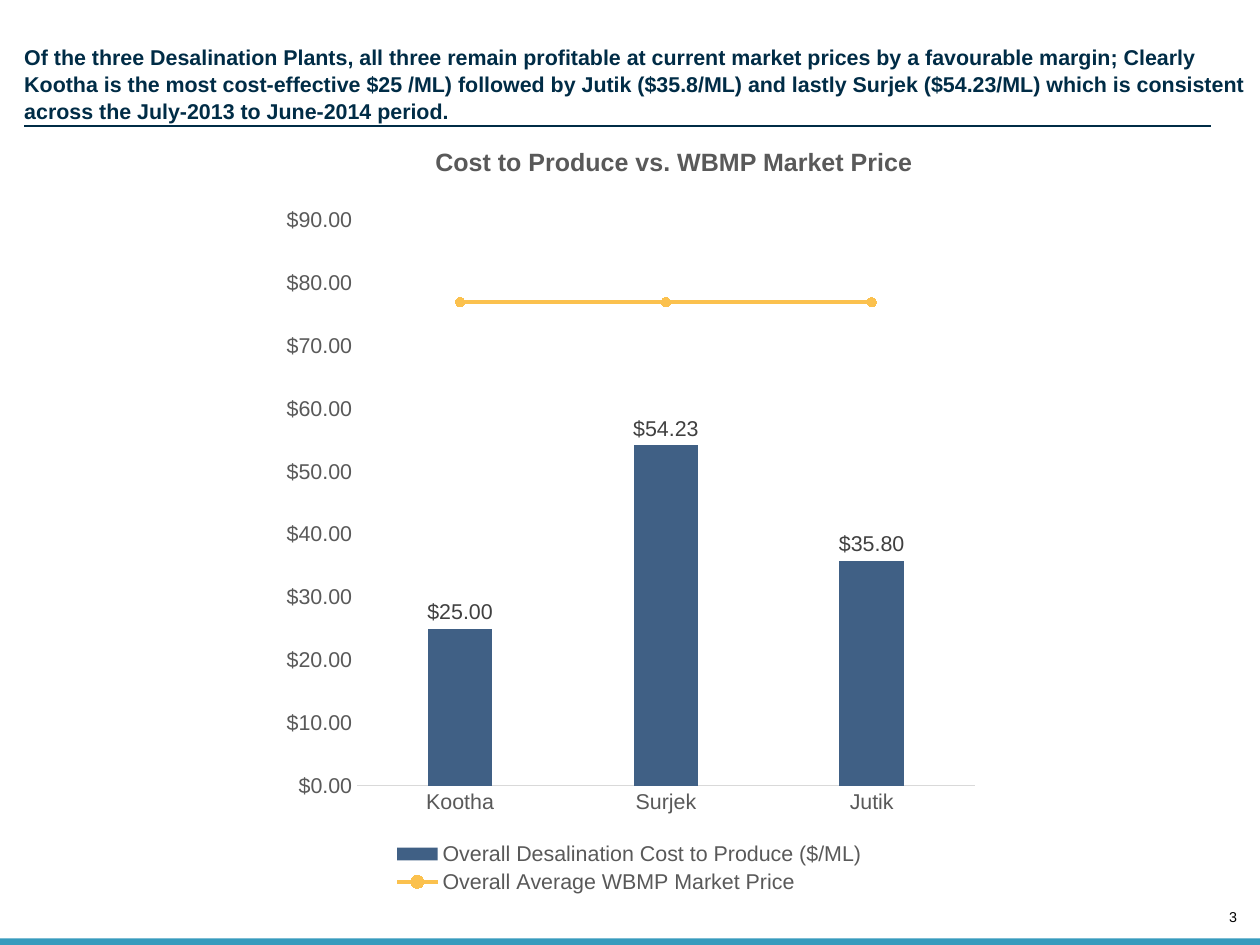
from pptx import Presentation
from pptx import util as u
from pptx.chart.data import CategoryChartData
from pptx.dml.color import RGBColor
from pptx.enum import chart as ch, shapes, text
from pptx.oxml import parse_xml
from pptx.oxml.ns import nsdecls

NAVY = RGBColor(0x00, 0x2C, 0x46)
BLUE = RGBColor(0x40, 0x60, 0x85)
TEAL = RGBColor(0x37, 0x9B, 0xBD)
AMBER = RGBColor(0xFB, 0xC1, 0x4E)
BLACK = RGBColor(0x00, 0x00, 0x00)
DARK_GREY = RGBColor(0x40, 0x40, 0x40)
GREY = RGBColor(0x59, 0x59, 0x59)
PALE_GREY = RGBColor(0xD9, 0xD9, 0xD9)
DOLLARS = '"$"#,##0.00;[Red]\\-"$"#,##0.00'


class SlideBuilder:
    """Holds the style and the current slide; lengths are in centimetres."""

    font_name = "Arial"

    def __init__(self, slide):
        self.slide = slide

    def style(self, font, size, color, bold=False):
        font.name, font.size, font.bold = self.font_name, u.Pt(size), bold
        font.color.rgb = color

    def label(self, box, words, size, color, bold=False, wrap=False,
              align=text.PP_ALIGN.LEFT, anchor=text.MSO_ANCHOR.TOP, spacing=1.0):
        frame = self.slide.shapes.add_textbox(*map(u.Cm, box)).text_frame
        frame.word_wrap = wrap
        frame.vertical_anchor = anchor
        frame.margin_left = frame.margin_right = 0
        frame.margin_top = frame.margin_bottom = 0
        paragraph = frame.paragraphs[0]
        paragraph.text = words
        paragraph.alignment = align
        paragraph.line_spacing = spacing
        self.style(paragraph.font, size, color, bold)

    def band(self, box, color):
        band = self.slide.shapes.add_shape(
            shapes.MSO_SHAPE.RECTANGLE, *map(u.Cm, box))
        band.shadow.inherit = False
        band.fill.solid()
        band.fill.fore_color.rgb = color
        band.line.fill.background()

    def rule(self, start, end, color, width):
        rule = self.slide.shapes.add_connector(
            shapes.MSO_CONNECTOR.STRAIGHT, *map(u.Cm, start + end))
        rule.line.color.rgb = color
        rule.line.width = u.Pt(width)
        rule._element.spPr.append(parse_xml(f'<a:effectLst {nsdecls("a")}/>'))

    def cost_chart(self, box, plants, costs, prices):
        data = CategoryChartData(number_format=DOLLARS)
        data.categories = plants
        data.add_series(*costs)
        data.add_series(*prices)
        chart = self.slide.shapes.add_chart(
            ch.XL_CHART_TYPE.COLUMN_CLUSTERED, *map(u.Cm, box), data).chart
        chart.has_title = False
        self.style(chart.font, 12, BLACK)
        self.move_last_series_to_line(chart)

        # Cost columns
        columns, price_line = chart.plots
        columns.gap_width, columns.overlap = 219, -27
        columns.vary_by_categories = False
        cost = columns.series[0]
        cost.format.fill.solid()
        cost.format.fill.fore_color.rgb = BLUE
        labels = cost.data_labels
        labels.show_value = True
        labels.position = ch.XL_LABEL_POSITION.OUTSIDE_END
        labels.number_format, labels.number_format_is_linked = DOLLARS, False
        self.style(labels.font, 12, DARK_GREY)

        # Market price line
        price = price_line.series[0]
        price.smooth = False
        price.format.line.color.rgb = AMBER
        price.format.line.width = u.Pt(2.25)
        price.marker.style, price.marker.size = ch.XL_MARKER_STYLE.CIRCLE, 5
        price.marker.format.fill.solid()
        price.marker.format.fill.fore_color.rgb = AMBER
        price.marker.format.line.color.rgb = AMBER

        # Axes and legend
        for axis in (chart.category_axis, chart.value_axis):
            axis.major_tick_mark = axis.minor_tick_mark = ch.XL_TICK_MARK.NONE
            axis.has_major_gridlines = False
            self.style(axis.tick_labels.font, 12, GREY)
        chart.category_axis.format.line.color.rgb = PALE_GREY
        chart.category_axis.format.line.width = u.Pt(0.75)
        scale = chart.value_axis
        scale.minimum_scale, scale.maximum_scale, scale.major_unit = 0, 90, 10
        scale.format.line.fill.background()
        scale.tick_labels.number_format = DOLLARS
        scale.tick_labels.number_format_is_linked = False
        chart.has_legend = True
        chart.legend.position = ch.XL_LEGEND_POSITION.BOTTOM
        chart.legend.include_in_layout = False
        self.style(chart.legend.font, 12, GREY)
        self.place_plot(chart, x=0.12, y=0.036, w=0.862, h=0.804)

    def move_last_series_to_line(self, chart):
        bars = chart.plots[0]._element
        series = bars.xpath("c:ser")[-1]
        for flag in series.xpath("c:invertIfNegative"):
            series.remove(flag)
        axes = "".join(f'<c:axId val="{axis.get("val")}"/>'
                       for axis in bars.xpath("c:axId"))
        lines = parse_xml(
            f'<c:lineChart {nsdecls("c")}><c:grouping val="standard"/>'
            f'<c:varyColors val="0"/><c:marker val="1"/>{axes}</c:lineChart>')
        lines.insert(2, series)
        bars.addnext(lines)

    def place_plot(self, chart, **fractions):
        area = chart._chartSpace.xpath("c:chart/c:plotArea")[0]
        for layout in area.xpath("c:layout"):
            area.remove(layout)
        sizes = "".join(f'<c:{side} val="{value}"/>'
                        for side, value in fractions.items())
        area.insert(0, parse_xml(
            f'<c:layout {nsdecls("c")}><c:manualLayout>'
            '<c:layoutTarget val="inner"/><c:xMode val="edge"/>'
            f'<c:yMode val="edge"/>{sizes}</c:manualLayout></c:layout>'))


def main():
    deck = Presentation()
    deck.slide_width, deck.slide_height = u.Cm(24.89), u.Cm(18.67)
    page = SlideBuilder(deck.slides.add_slide(deck.slide_layouts[6]))

    # Footer
    page.label((24.08, 17.96, 0.36, 0.33), "3", 8, BLACK,
               align=text.PP_ALIGN.RIGHT, anchor=text.MSO_ANCHOR.BOTTOM)
    page.band((0, 18.54, 24.89, 0.13), TEAL)

    # Headline
    page.label(
        (0.48, 0.84, 24.28, 1.55),
        "Of the three Desalination Plants, all three remain profitable at "
        "current market prices by a favourable margin; Clearly Kootha is the "
        "most cost-effective $25 /ML) followed by Jutik ($35.8/ML) and lastly "
        "Surjek ($54.23/ML) which is consistent across the July-2013 to "
        "June-2014 period.",
        12, NAVY, bold=True, wrap=True, spacing=1.06)
    page.rule((0.48, 2.49), (23.93, 2.49), NAVY, 0.75)

    # Cost against market price
    page.cost_chart(
        (5.36, 3.86, 14.15, 13.89), ("Kootha", "Surjek", "Jutik"),
        ("Overall Desalination Cost to Produce ($/ML)", (25, 54.23, 35.8)),
        ("Overall Average WBMP Market Price", (77, 77, 77)))
    page.label((8.26, 2.77, 10.11, 0.86), "Cost to Produce vs. WBMP Market Price",
               14, GREY, bold=True, align=text.PP_ALIGN.CENTER,
               anchor=text.MSO_ANCHOR.MIDDLE)

    deck.save("out.pptx")


if __name__ == "__main__":
    main()
